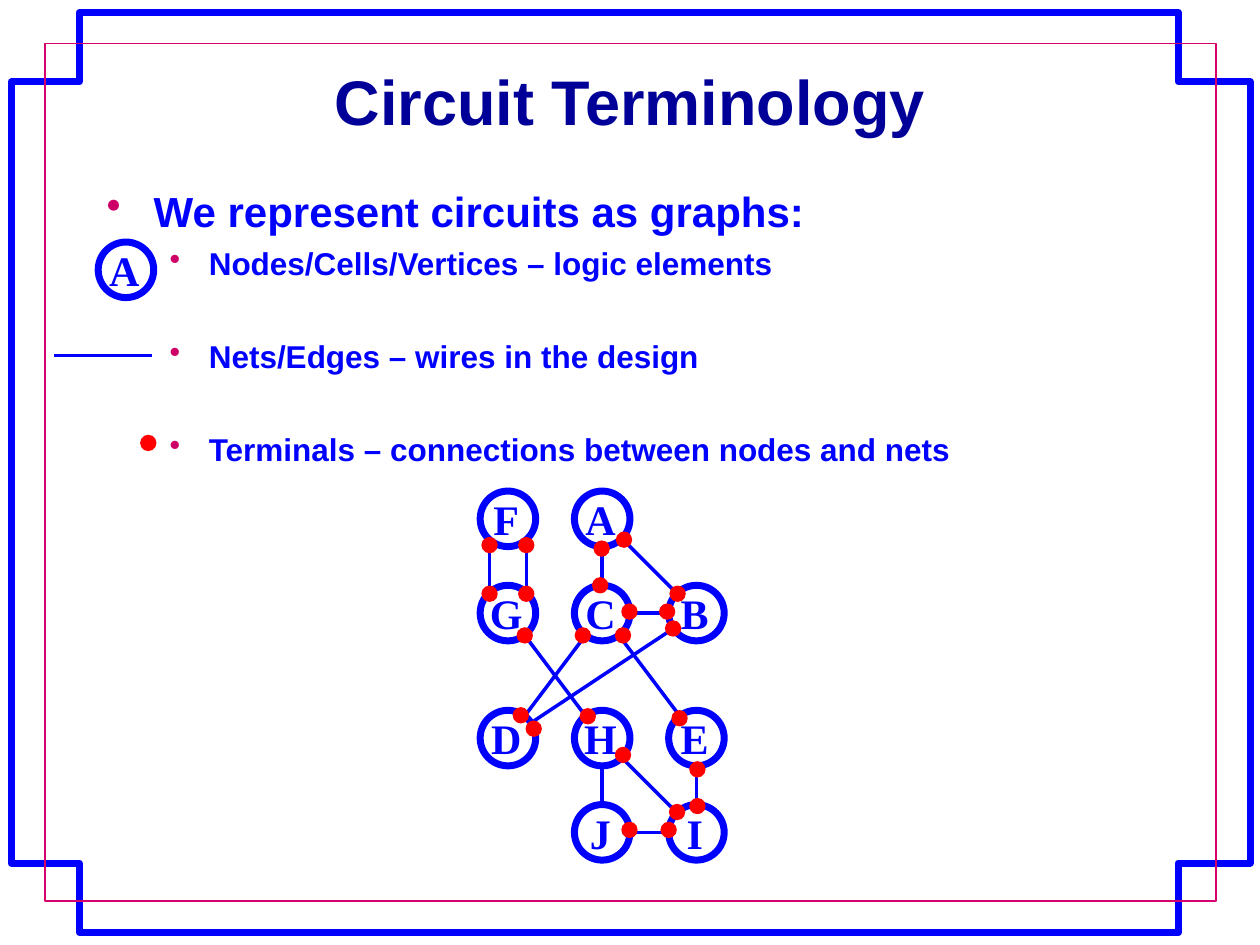
import pptx
import pptx.util
import pptx.dml.color
import pptx.enum.shapes
import pptx.enum.text
import lxml.etree
import pptx.oxml.ns

Cm = pptx.util.Cm
Pt = pptx.util.Pt
RGB = pptx.dml.color.RGBColor
KIND = pptx.enum.shapes.MSO_SHAPE
ALIGN = pptx.enum.text.PP_ALIGN
ANCHOR = pptx.enum.text.MSO_ANCHOR

BLUE = RGB(0x00, 0x00, 0xFF)
NAVY = RGB(0x00, 0x00, 0x99)
RED = RGB(0xFF, 0x00, 0x00)
PINK = RGB(0xD5, 0x00, 0x6C)
ROSE = RGB(0xCC, 0x00, 0x66)
WHITE = RGB(0xFF, 0xFF, 0xFF)

# Graph layout in cm: node centres lie on columns and rows
COLS = (10.24, 12.14, 14.04)
ROWS = (10.46, 12.36, 14.88, 16.78)
NODES = {"I": (2, 3), "J": (1, 3), "G": (0, 1), "D": (0, 2), "B": (2, 1),
         "H": (1, 2), "F": (0, 0), "C": (1, 1), "E": (2, 2), "A": (1, 0)}
NETS = ("BD", "GH", "EC", "CD", "BC", "AC", "BA", "EI", "IJ", "JH", "HI")
TWIN = 0.37  # offset of each of the two F-G nets
PINS = ((10.5, 14.42), (10.76, 14.69), (9.87, 11.97), (10.61, 11.97),
        (9.87, 10.99), (10.61, 10.99), (12.13, 11.06), (12.1, 11.8),
        (12.58, 10.88), (12.69, 12.33), (13.45, 12.33), (13.66, 11.97),
        (12.69, 16.73), (13.48, 16.73), (12.56, 15.22), (13.65, 16.37),
        (11.75, 12.81), (11.85, 14.44), (10.58, 12.81), (12.56, 12.81),
        (13.57, 12.67), (13.7, 14.48), (14.06, 15.51), (14.06, 16.25))
# Text, size, left indent, hanging indent (cm), space before
POINTS = (("We represent circuits as graphs:", 24, 0.95, 0.95, 6),
          ("Nodes/Cells/Vertices – logic elements", 18, 2.06, 0.79, 5),
          ("Nets/Edges – wires in the design", 18, 2.06, 0.79, 31.5),
          ("Terminals – connections between nodes and nets",
           18, 2.06, 0.79, 31.5))


def style(shape, fill=None, line=None, width=0):
    shape.shadow.inherit = False
    if fill is None:
        shape.fill.background()
    else:
        shape.fill.solid()
        shape.fill.fore_color.rgb = fill
    if line is None:
        shape.line.fill.background()
    else:
        shape.line.color.rgb = line
        shape.line.width = Pt(width)


def font(para, name, size, color):
    para.font.name = name
    para.font.size = Pt(size)
    para.font.bold = True
    para.font.color.rgb = color


def disc(shapes, x, y, size):
    return shapes.add_shape(KIND.OVAL, Cm(x - size / 2), Cm(y - size / 2),
                            Cm(size), Cm(size))


def node(shapes, name, x, y):
    style(disc(shapes, x, y, 1.12), WHITE, BLUE, 4)
    box = shapes.add_textbox(Cm(x - 0.71), Cm(y - 0.56), Cm(1.35), Cm(1.35))
    frame = box.text_frame
    frame.word_wrap = False
    frame.margin_left = frame.margin_right = Cm(0.05)
    frame.margin_top = frame.margin_bottom = Cm(0.08)
    para = frame.paragraphs[0]
    para.text = name
    para.alignment = ALIGN.CENTER
    para.line_spacing = Pt(28)
    font(para, "Times New Roman", 24, BLUE)


def wire(shapes, x1, y1, x2, y2):
    line = shapes.add_connector(pptx.enum.shapes.MSO_CONNECTOR.STRAIGHT,
                                Cm(x1), Cm(y1), Cm(x2), Cm(y2))
    line.line.color.rgb = BLUE
    line.line.width = Pt(2)
    lxml.etree.SubElement(line._element.spPr,
                          pptx.oxml.ns.qn("a:effectLst"))


def pin(shapes, x, y):
    style(disc(shapes, x, y, 0.33), RED)


def border(shapes):
    # Blue outline with notched corners
    x1, x2, x3, x4 = 0.23, 1.6, 23.75, 25.2
    y1, y2, y3, y4 = 0.25, 1.65, 17.4, 18.8
    spots = [(x1, y2), (x2, y2), (x2, y1), (x3, y1), (x3, y2), (x4, y2),
             (x4, y3), (x3, y3), (x3, y4), (x2, y4), (x2, y3), (x1, y3)]
    spots = [(Cm(x), Cm(y)) for x, y in spots]
    path = shapes.build_freeform(*spots[0])
    path.add_line_segments(spots[1:], close=True)
    style(path.convert_to_shape(), None, BLUE, 4)
    # Thin inner frame
    inner = shapes.add_shape(KIND.RECTANGLE, Cm(0.91), Cm(0.88),
                             Cm(23.6), Cm(17.28))
    style(inner, None, PINK, 1)


def head(title):
    title.left, title.top = Cm(1.9), Cm(1.07)
    title.width, title.height = Cm(21.6), Cm(1.9)
    title.text_frame.text = "Circuit Terminology"
    title.text_frame.vertical_anchor = ANCHOR.MIDDLE
    para = title.text_frame.paragraphs[0]
    para.alignment = ALIGN.CENTER
    font(para, "Arial", 36, NAVY)


def bullet(para, left, hang):
    props = para._p.get_or_add_pPr()
    props.set("marL", str(Cm(left)))
    props.set("indent", str(-Cm(hang)))
    tint = lxml.etree.SubElement(props, pptx.oxml.ns.qn("a:buClr"))
    lxml.etree.SubElement(tint, pptx.oxml.ns.qn("a:srgbClr"), val=str(ROSE))
    lxml.etree.SubElement(props, pptx.oxml.ns.qn("a:buChar"), char="•")


def body(shapes):
    box = shapes.add_textbox(Cm(1.9), Cm(3.61), Cm(21.6), Cm(13.33))
    frame = box.text_frame
    frame.word_wrap = True
    for i, (text, size, left, hang, gap) in enumerate(POINTS):
        para = frame.add_paragraph() if i else frame.paragraphs[0]
        para.text = text
        para.level = 1 if i else 0
        para.space_before = Pt(gap)
        bullet(para, left, hang)
        font(para, "Arial", size, BLUE)


def graph(shapes):
    spots = {name: (COLS[c], ROWS[r]) for name, (c, r) in NODES.items()}
    for start, end in NETS:
        wire(shapes, *spots[start], *spots[end])
    for shift in (TWIN, -TWIN):
        wire(shapes, COLS[0] + shift, ROWS[1], COLS[0] + shift, ROWS[0])
    for name, spot in spots.items():
        node(shapes, name, *spot)
    for spot in PINS:
        pin(shapes, *spot)


def legend(shapes):
    pin(shapes, 2.99, 8.93)
    wire(shapes, 3.07, 7.17, 1.09, 7.17)
    node(shapes.add_group_shape().shapes, "A", 2.54, 5.44)


def main():
    deck = pptx.Presentation()
    deck.slide_width, deck.slide_height = Cm(25.4), Cm(19.05)
    slide = deck.slides.add_slide(deck.slide_layouts[5])
    border(slide.shapes)
    head(slide.shapes.title)
    body(slide.shapes)
    graph(slide.shapes.add_group_shape().shapes)
    legend(slide.shapes)
    deck.save("out.pptx")


if __name__ == "__main__":
    main()
